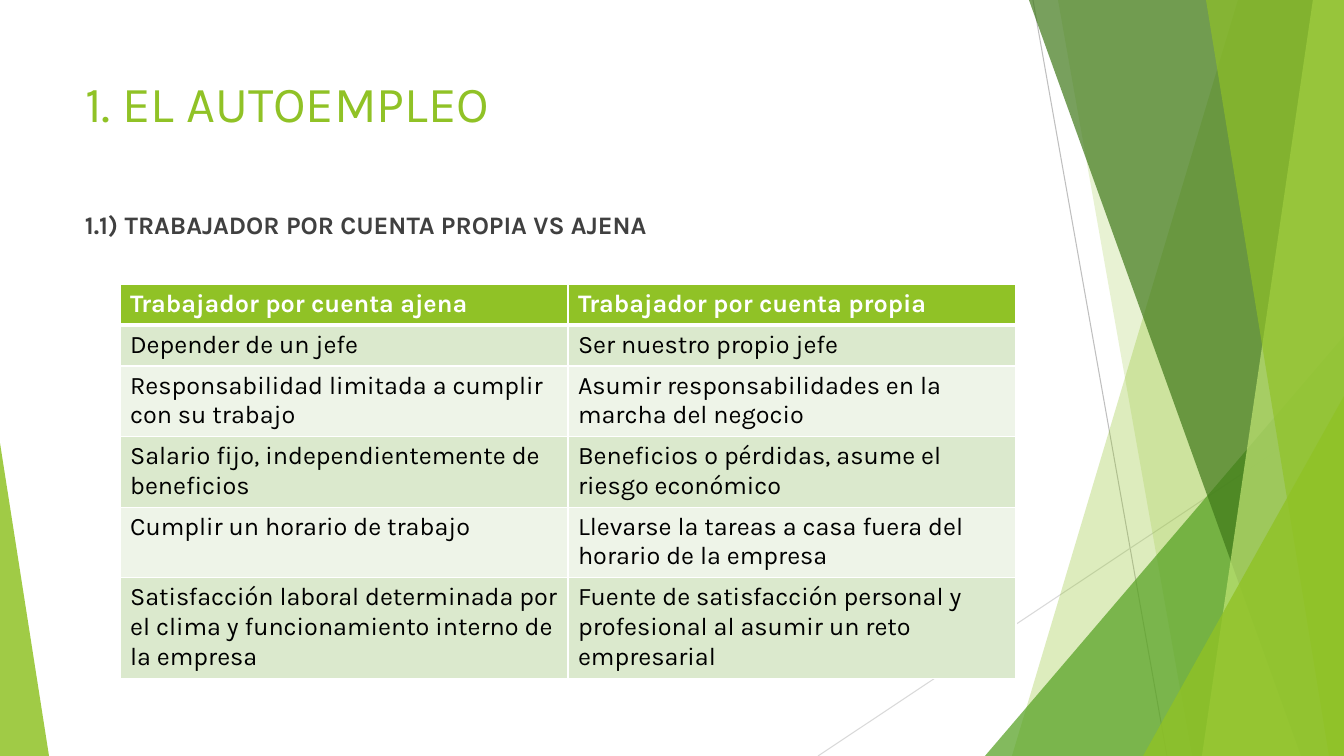
from dataclasses import dataclass

from pptx import Presentation
from pptx.dml.color import RGBColor as RGB
from pptx.enum.shapes import MSO_CONNECTOR as CONN, MSO_SHAPE as SHAPE
from pptx.enum.text import MSO_ANCHOR as ANCHOR, PP_ALIGN as ALIGN
from pptx.oxml.ns import qn
from pptx.oxml.xmlchemy import OxmlElement as Element
from pptx.util import Pt

W, H = 1344, 756
PX = 12192000 / W


@dataclass(frozen=True)
class Theme:
    """Colours, font and type sizes of the slide."""
    font: str = "Karla"
    title_size: int = 36
    text_size: int = 18
    accent: str = "90C226"
    leaf: str = "54A021"
    forest: str = "3F7819"
    lime: str = "C0E474"
    text: str = "404040"
    black: str = "000000"
    white: str = "FFFFFF"
    band_dark: str = "DBE9CD"
    band_light: str = "EEF4E8"
    line_dark: str = "BFBFBF"
    line_light: str = "D9D9D9"


T = Theme()

GUIDES = [(1033, 0, 1167, H, T.line_dark), (W, 406, 818, H, T.line_light)]
BACK_FACETS = [(1238, 1012, T.accent, 30), (1058, 1192, T.accent, 20)]
FRONT_FACETS = [(1029, 1301, T.forest, 70), (1313, 1202, T.lime, 70),
                (1206, 1329, T.accent, 65)]
BACK_TRIANGLE = (985, 336, 359, 420, 1, T.leaf, 72)
FRONT_TRIANGLES = [(1143, 396, 201, 360, 1, T.accent, 80),
                   (0, 443, 49, 313, 0, T.accent, 85)]

COMPARISON = [
    ("Trabajador por cuenta ajena", "Trabajador por cuenta propia"),
    ("Depender de un jefe", "Ser nuestro propio jefe"),
    ("Responsabilidad limitada a cumplir con su trabajo",
     "Asumir responsabilidades en la marcha del negocio"),
    ("Salario fijo, independientemente de beneficios",
     "Beneficios o pérdidas, asume el riesgo económico"),
    ("Cumplir un horario de trabajo",
     "Llevarse la tareas a casa fuera del horario de la empresa"),
    ("Satisfacción laboral determinada por el clima y funcionamiento interno de la empresa",
     "Fuente de satisfacción personal y profesional al asumir un reto empresarial"),
]


def px(*lengths):
    """Turn pixel lengths into EMU."""
    return [round(n * PX) for n in lengths]


def write(tf, text, size, color, bold=False):
    """Put one left-aligned formatted run into a text frame."""
    p = tf.paragraphs[0]
    p.alignment = ALIGN.LEFT
    r = p.add_run()
    r.text = text
    for name, value in {"name": T.font, "size": Pt(size), "bold": bold}.items():
        setattr(r.font, name, value)
    r.font.color.rgb = RGB.from_string(color)


def paint(sp, color, opacity):
    """Give a shape a translucent fill without line or shadow."""
    sp.shadow.inherit = False
    sp.line.fill.background()
    sp.fill.solid()
    sp.fill.fore_color.rgb = RGB.from_string(color)
    alpha = Element("a:alpha")
    alpha.set("val", str(opacity * 1000))
    sp.element.spPr.find(qn("a:solidFill")).find(qn("a:srgbClr")).append(alpha)


def add_guide(s, x1, y1, x2, y2, color):
    """Draw a thin decorative line."""
    line = s.shapes.add_connector(CONN.STRAIGHT, *px(x1, y1, x2, y2))
    line.line.width = Pt(0.75)
    line.line.color.rgb = RGB.from_string(color)
    line.element.spPr.append(Element("a:effectLst"))


def add_facet(s, top_x, bottom_x, color, opacity):
    """Draw a full-height facet that reaches the right slide edge."""
    builder = s.shapes.build_freeform(top_x, 0, scale=PX)
    builder.add_line_segments([(W, 0), (W, H), (bottom_x, H)], close=True)
    paint(builder.convert_to_shape(), color, opacity)


def add_triangle(s, x, y, w, h, apex, color, opacity):
    """Draw a triangle whose apex sits at a fraction of its width."""
    sp = s.shapes.add_shape(SHAPE.ISOSCELES_TRIANGLE, *px(x, y, w, h))
    sp.adjustments[0] = apex
    paint(sp, color, opacity)


def add_title(s, text, x, y, w, h):
    """Place and format the title placeholder."""
    title = s.shapes.title
    title.left, title.top, title.width, title.height = px(x, y, w, h)
    title.text_frame.vertical_anchor = ANCHOR.TOP
    write(title.text_frame, text, T.title_size, T.accent)


def add_subtitle(s, text, x, y, w, h):
    """Add the section heading above the table."""
    tf = s.shapes.add_textbox(*px(x, y, w, h)).text_frame
    tf.word_wrap = True
    write(tf, text, T.text_size, T.text, bold=True)


def add_borders(cell, **widths):
    """Draw white cell borders with a width in points for each side."""
    for side, width in widths.items():
        ln = Element(f"a:ln{side}")
        ln.set("w", str(Pt(width)))
        fill, color = Element("a:solidFill"), Element("a:srgbClr")
        color.set("val", T.white)
        fill.append(color)
        ln.append(fill)
        cell._tc.get_or_add_tcPr().append(ln)


def add_comparison(s, rows, x, y, w, row_h):
    """Add the two-column table with a header and banded rows."""
    frame = s.shapes.add_table(len(rows), 2, *px(x, y, w, row_h * len(rows)))
    table = frame.table
    table.horz_banding = False
    for i, texts in enumerate(rows):
        header = i == 0
        band = T.accent if header else (T.band_light, T.band_dark)[i % 2]
        for j, text in enumerate(texts):
            cell = table.cell(i, j)
            add_borders(cell, L=1, R=1, T=3 if i == 1 else 1, B=3 if header else 1)
            cell.fill.solid()
            cell.fill.fore_color.rgb = RGB.from_string(band)
            write(cell.text_frame, text, T.text_size,
                  T.white if header else T.black, bold=header)


def main():
    """Build and save the slide."""
    prs = Presentation()
    prs.slide_width, prs.slide_height = px(W, H)
    s = prs.slides.add_slide(prs.slide_layouts[5])
    for guide in GUIDES:
        add_guide(s, *guide)
    for facet in BACK_FACETS:
        add_facet(s, *facet)
    add_triangle(s, *BACK_TRIANGLE)
    for facet in FRONT_FACETS:
        add_facet(s, *facet)
    for triangle in FRONT_TRIANGLES:
        add_triangle(s, *triangle)
    add_title(s, "1. EL AUTOEMPLEO", 75, 67, 948, 145)
    add_subtitle(s, "1.1) TRABAJADOR POR CUENTA PROPIA VS AJENA", 75, 204, 948, 427)
    add_comparison(s, COMPARISON, 120, 284, 896, 41)
    prs.save("out.pptx")


if __name__ == "__main__":
    main()
